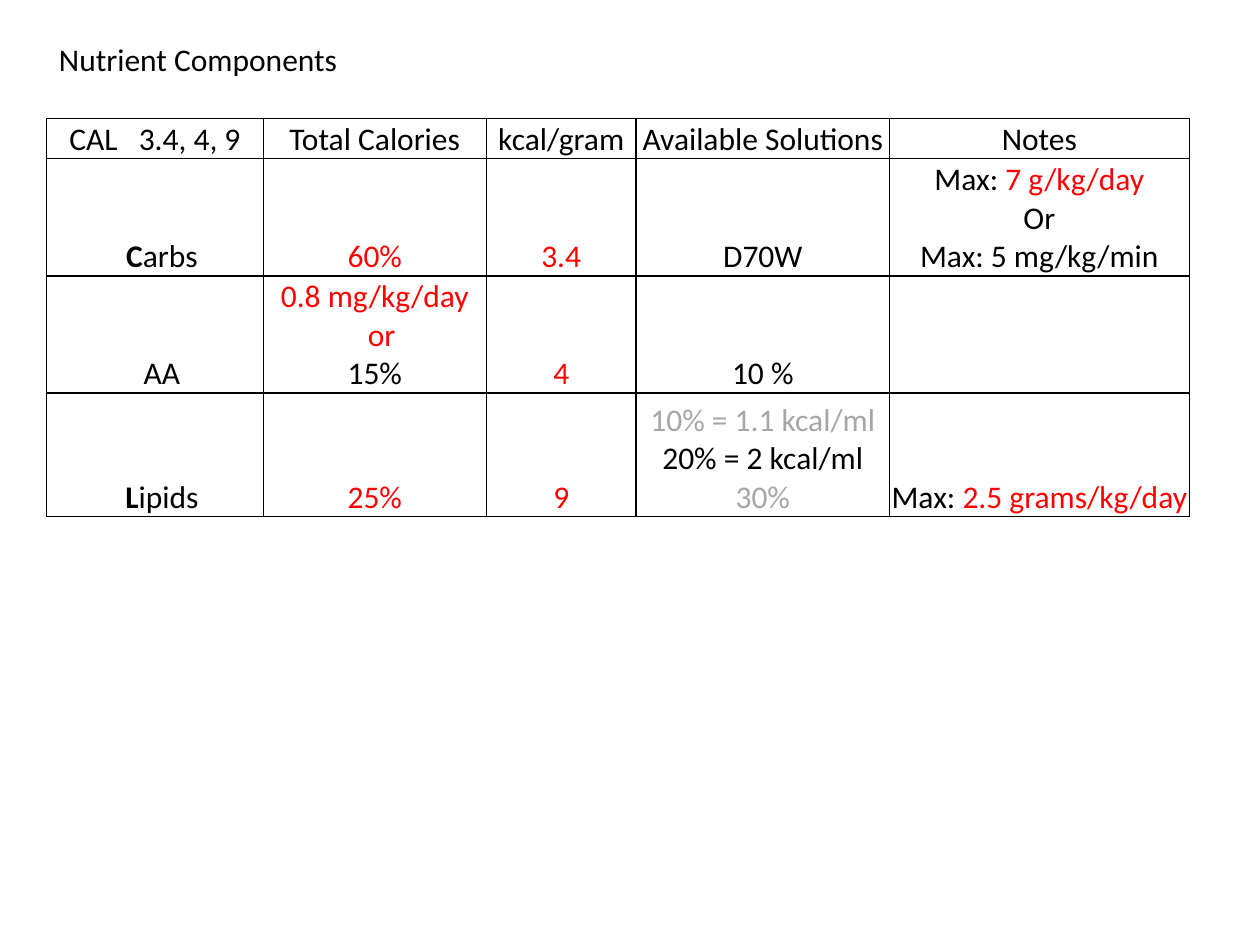
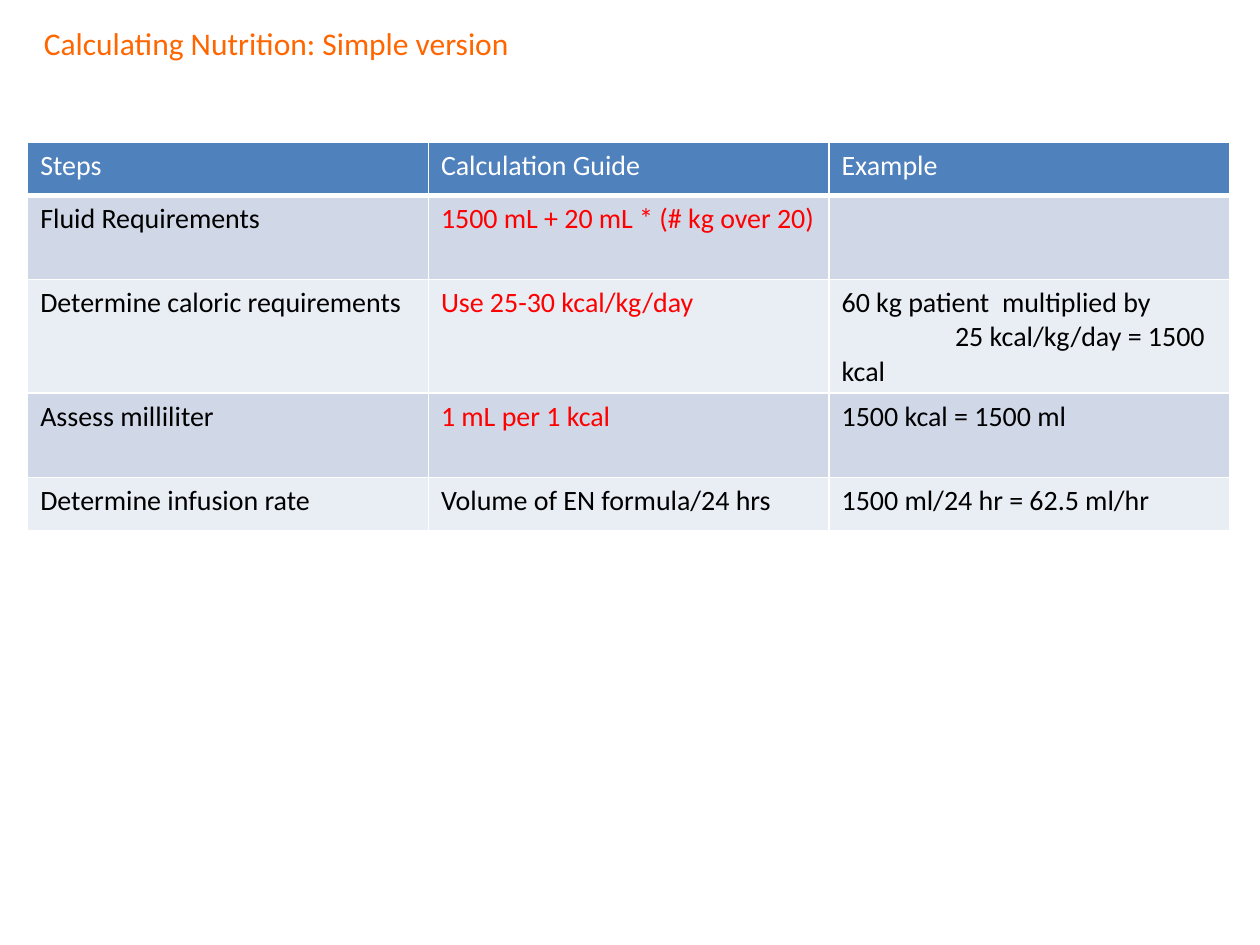
from collections import namedtuple

from lxml.etree import SubElement
from pptx import Presentation
from pptx.dml.color import RGBColor as RGB
from pptx.enum.text import MSO_ANCHOR as Anchor, MSO_AUTO_SIZE as AutoSize, PP_ALIGN as Align
from pptx.oxml.ns import qn
from pptx.util import Inches, Pt

# ---- Shared look ----
FONT = "Calibri"
C = {"black": "000000", "white": "FFFFFF", "red": "FF0000", "grey": "A6A6A6",
     "orange": "FF6600", "head": "4F81BD", "odd": "D0D8E8", "even": "E9EDF4"}

# gap: extra points after each letter; left, first: indents in inches
Run = namedtuple("Run", "text colour bold gap", defaults=(None, False, 0))
Line = namedtuple("Line", "runs left first", defaults=(0, 0))


def red(text):
    return Run(text, "red")


def grey(text):
    return Run(text, "grey")


def label(*runs):
    return Line(runs, left=0.11)


# ---- Content: a cell is a list of lines, or one line ----
NUTRIENTS = [
    [Line(["CAL", Run(" ", gap=8), "3.4, 4, 9"]), "Total Calories", "kcal/gram",
     "Available Solutions", "Notes"],
    [label(Run("C", bold=True), "arbs"), red("60%"), red("3.4"), "D70W",
     [Line(["Max: ", red("7 g/kg/day")]), "Or", "Max: 5 mg/kg/min"]],
    [label("AA"), [red("0.8 mg/kg/day"), label(red("or")), "15%"], red("4"), "10 %", []],
    [label(Run("L", bold=True), "ipids"), red("25%"), red("9"),
     [grey("10% = 1.1 kcal/ml"), "20% = 2 kcal/ml", grey("30%")],
     Line(["Max: ", red("2.5 grams/kg/day")])],
]
STEPS = [
    ["Steps", "Calculation Guide", "Example"],
    ["Fluid Requirements", red("1500 mL + 20 mL * (# kg over 20)"), []],
    ["Determine caloric requirements", red("Use 25-30 kcal/kg/day"),
     [Line(["60 kg patient", Run(" ", gap=3.6), "multiplied by"]),
      Line(["25 kcal/kg/day = 1500 kcal"], first=0.9)]],
    ["Assess milliliter", red("1 mL per 1 kcal"), "1500 kcal = 1500 ml"],
    ["Determine infusion rate", "Volume of EN formula/24 hrs", "1500 ml/24 hr = 62.5 ml/hr"],
]

SLIDES = [
    dict(title="Nutrient Components", title_at=(0.37, 0.27, 2.44, 0.4), colour="black",
         cells=NUTRIENTS, at=(0.37, 0.94), cols=[1.72, 1.77, 1.19, 2.01, 2.38],
         rows=[0.32, 0.93, 0.93, 0.98], size=18, align=Align.CENTER, line="black",
         text=["black"], fills=[None], head_rule=1,
         cell=dict(vertical_anchor=Anchor.BOTTOM, margin_left=Inches(0.01),
                   margin_right=Inches(0.01), margin_top=Inches(0.01), margin_bottom=0)),
    dict(title="Calculating Nutrition: Simple version", title_at=(0.25, 0.14, 3.94, 0.4),
         colour="orange", cells=STEPS, at=(0.22, 1.13), cols=[3.18] * 3,
         rows=[0.42, 0.67, 0.9, 0.67, 0.42], size=16, align=Align.LEFT, line="white",
         text=["white", "black"], fills=["head", "odd", "even"], head_rule=3, cell={}),
]


def set_all(obj, values):
    for name, value in values.items():
        setattr(obj, name, value)


def write(tf, lines, size, colour, align=Align.LEFT):
    for i, line in enumerate(lines if type(lines) is list else [lines]):
        if not isinstance(line, Line):
            line = Line([line])
        p = tf.add_paragraph() if i else tf.paragraphs[0]
        p.alignment = align
        for attr, inches in (("marL", line.left), ("indent", line.first)):
            if inches:
                p._p.get_or_add_pPr().set(attr, str(Inches(inches)))
        for run in line.runs:
            if not isinstance(run, Run):
                run = Run(run)
            r = p.add_run()
            r.text = run.text
            set_all(r.font, dict(name=FONT, size=Pt(size), bold=run.bold))
            r.font.color.rgb = RGB.from_string(C[run.colour or colour])
            if run.gap:
                r.font._element.set("spc", str(round(run.gap * 100)))


def add_borders(cell, colour, bottom):
    tcPr = cell._tc.get_or_add_tcPr()
    for side, width in (("L", 1), ("R", 1), ("T", 1), ("B", bottom)):
        ln = SubElement(tcPr, qn(f"a:ln{side}"), w=str(Pt(width)))
        SubElement(SubElement(ln, qn("a:solidFill")), qn("a:srgbClr"), val=C[colour])


def add_title(s, d):
    tf = s.shapes.add_textbox(*map(Inches, d["title_at"])).text_frame
    set_all(tf, dict(word_wrap=False, auto_size=AutoSize.SHAPE_TO_FIT_TEXT))
    write(tf, d["title"], 18, d["colour"])


def add_grid(s, d):
    cols, rows = d["cols"], d["rows"]
    box = map(Inches, (*d["at"], sum(cols), sum(rows)))
    table = s.shapes.add_table(len(rows), len(cols), *box).table
    set_all(table, dict(first_row=False, horz_banding=False))
    for col, width in zip(table.columns, cols):
        col.width = Inches(width)
    for i, (row, height) in enumerate(zip(table.rows, rows)):
        row.height = Inches(height)
        # The header takes the first fill, the body rows alternate the others
        body = d["fills"][1:] or d["fills"]
        fill = body[(i - 1) % len(body)] if i else d["fills"][0]
        colour = d["text"][min(i, len(d["text"]) - 1)]
        for cell, lines in zip(row.cells, d["cells"][i]):
            set_all(cell, d["cell"])
            add_borders(cell, d["line"], 1 if i else d["head_rule"])
            if fill:
                cell.fill.solid()
                cell.fill.fore_color.rgb = RGB.from_string(C[fill])
            else:
                cell.fill.background()
            write(cell.text_frame, lines, d["size"], colour, d["align"])


def main():
    prs = Presentation()
    set_all(prs, dict(slide_width=Inches(10), slide_height=Inches(7.5)))
    for d in SLIDES:
        s = prs.slides.add_slide(prs.slide_layouts[6])
        add_title(s, d)
        add_grid(s, d)
    prs.save("out.pptx")


if __name__ == "__main__":
    main()
